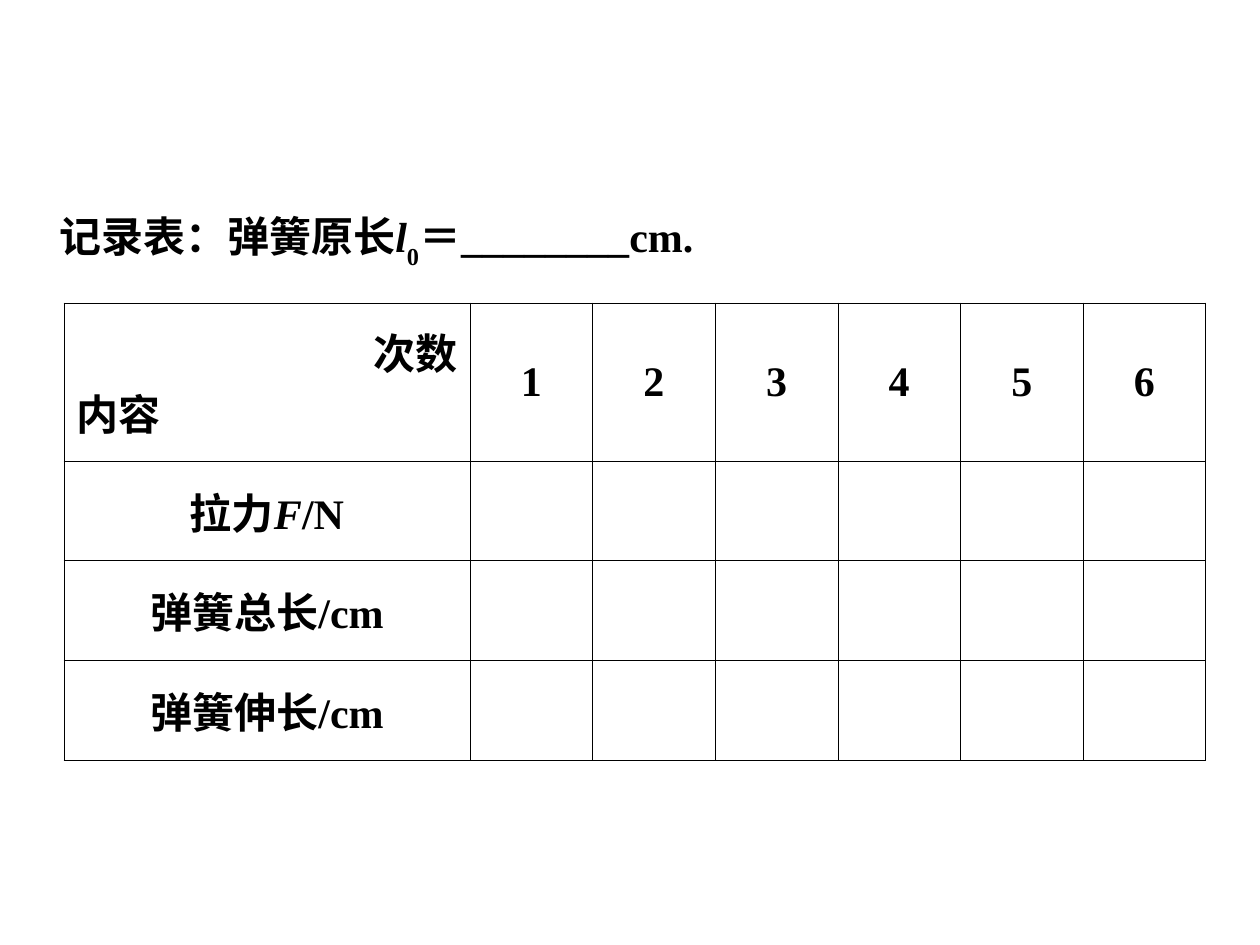
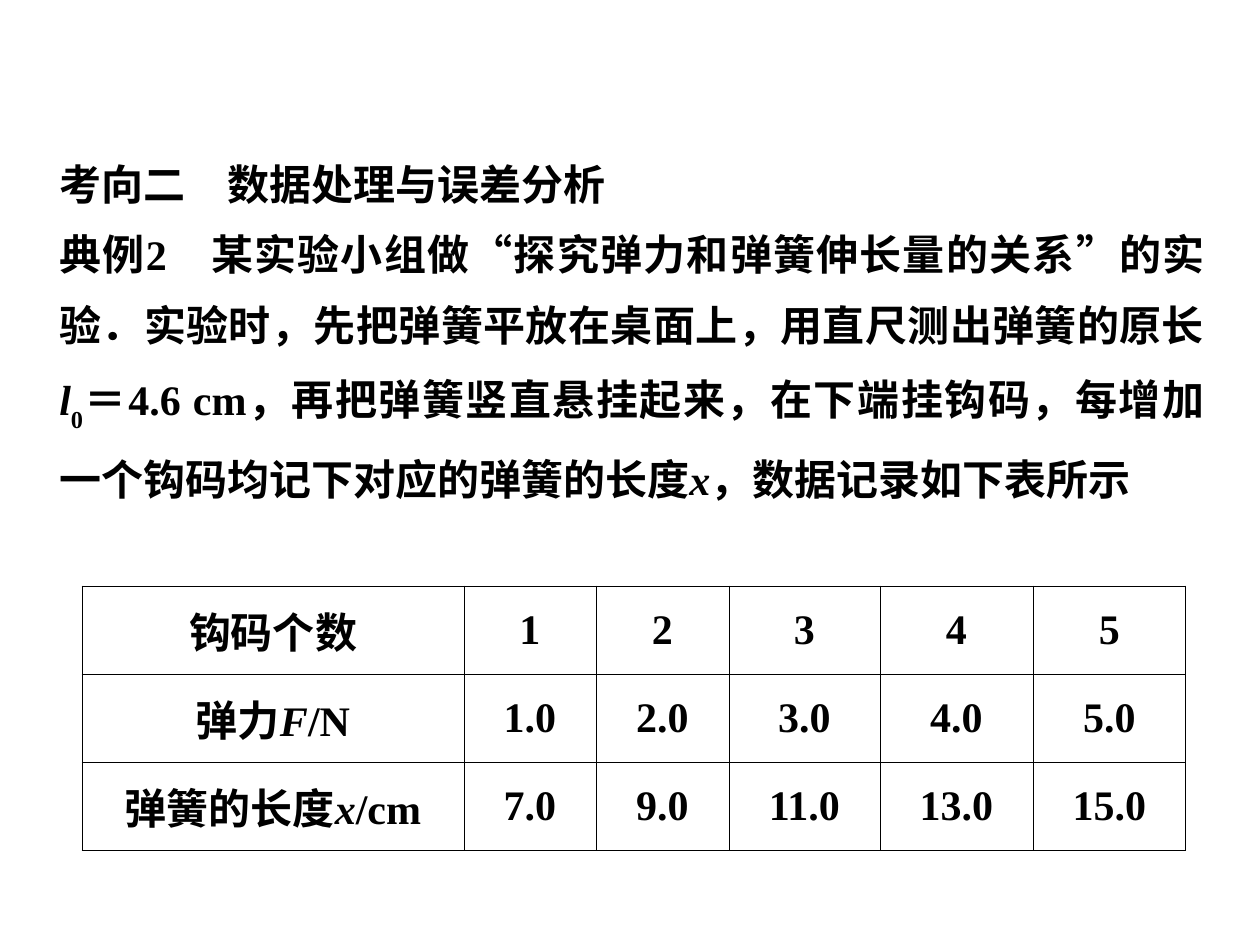
from lxml.etree import SubElement
from pptx import Presentation
from pptx.dml.color import RGBColor
from pptx.enum.text import MSO_ANCHOR as Anchor, PP_ALIGN as Align
from pptx.oxml import parse_xml
from pptx.oxml.ns import nsdecls, qn
from pptx.util import Emu, Pt

# Shared style
SCALE = 914400 / 126
LATIN, CHINESE = "Times New Roman", "Noto Sans CJK SC"
BLACK = "000000"
TEXT_SIZE = 24
BORDER_PT = 0.45
TEXT_LEFT, TEXT_WIDTH = 47, 1170

# Content: a line is a string or a list of strings and (text, style) pairs
LENGTH_L0 = [("l", "italic"), ("0", "sub")]

SLIDES = [
    {
        "text_top": 181, "text_height": 96,
        "text": [["记录表：弹簧原长", *LENGTH_L0, "＝________cm."]],
        "table_at": (64, 303),
        "columns": [406] + [(1142 - 406) / 6] * 6,
        "rows": [158] + [(457 - 158) / 3] * 3,
        "cells": [
            [("次数", "内容"), *"123456"],
            [["拉力", ("F", "italic"), "/N"]],
            ["弹簧总长/cm"],
            ["弹簧伸长/cm"],
        ],
    },
    {
        "text_top": 132, "text_height": 449,
        "text": [
            "考向二　数据处理与误差分析",
            ["典例2　某实验小组做", ("“", "quote"), "探究弹力和弹簧伸长量的关系",
             ("”", "quote"),
             "的实验．实验时，先把弹簧平放在桌面上，用直尺测出弹簧的原长",
             *LENGTH_L0,
             "＝4.6 cm，再把弹簧竖直悬挂起来，在下端挂钩码，"
             "每增加一个钩码均记下对应的弹簧的长度",
             ("x", "italic"), "，数据记录如下表所示"],
        ],
        "table_at": (82, 586),
        "columns": [382, 132, 133, 151, 153, 153],
        "rows": [88] * 3,
        "cells": [
            ["钩码个数", *"12345"],
            [["弹力", ("F", "italic"), "/N"], "1.0", "2.0", "3.0", "4.0", "5.0"],
            [["弹簧的长度", ("x", "italic"), "/cm"],
             "7.0", "9.0", "11.0", "13.0", "15.0"],
        ],
    },
]


def px(length):
    return Emu(round(length * SCALE))


def color(hex_value):
    return RGBColor.from_string(hex_value)


def write_line(para, line, align):
    """Write one line of plain and styled pieces into a paragraph."""
    para.alignment = align
    for piece in [line] if isinstance(line, str) else line:
        text, style = (piece, "plain") if isinstance(piece, str) else piece
        span = para.add_run()
        span.text = text
        font = span.font
        font.size, font.bold = Pt(TEXT_SIZE), True
        font.italic = style == "italic"
        font.color.rgb = color(BLACK)
        font.name = CHINESE if style == "quote" else LATIN
        properties = span._r.get_or_add_rPr()
        SubElement(properties, qn("a:ea")).set("typeface", CHINESE)
        if style == "sub":
            properties.set("baseline", "-30000")


def add_text(page, top, height, lines):
    box = page.shapes.add_textbox(px(TEXT_LEFT), px(top), px(TEXT_WIDTH), px(height))
    frame = box.text_frame
    frame.word_wrap = True
    for index, line in enumerate(lines):
        para = frame.add_paragraph() if index else frame.paragraphs[0]
        para.line_spacing = 1.4
        write_line(para, line, Align.JUSTIFY)


def outline_cell(cell):
    cell.fill.background()
    properties = cell._tc.get_or_add_tcPr()
    for index, side in enumerate("LRTB"):
        properties.insert(index, parse_xml(
            f'<a:ln{side} {nsdecls("a")} w="{Pt(BORDER_PT)}"><a:solidFill>'
            f'<a:srgbClr val="{BLACK}"/></a:solidFill></a:ln{side}>'))


def add_record_table(page, at, columns, rows, cells):
    left, top = at
    frame = page.shapes.add_table(len(rows), len(columns), px(left), px(top),
                                  px(sum(columns)), px(sum(rows)))
    table = frame.table
    table.first_row = table.horz_banding = False
    for column, width in zip(table.columns, columns):
        column.width = px(width)
    for row, height in zip(table.rows, rows):
        row.height = px(height)
    for cell in table.iter_cells():
        outline_cell(cell)
        cell.vertical_anchor = Anchor.MIDDLE
    for row_index, row_content in enumerate(cells):
        for column_index, content in enumerate(row_content):
            text_frame = table.cell(row_index, column_index).text_frame
            first = text_frame.paragraphs[0]
            if isinstance(content, tuple):  # corner heading: columns, then rows
                across, down = content
                write_line(first, across, Align.RIGHT)
                write_line(text_frame.add_paragraph(), down, Align.LEFT)
            else:
                write_line(first, content, Align.CENTER)


def main():
    deck = Presentation()
    deck.slide_width, deck.slide_height = px(1260), px(945)
    blank = deck.slide_layouts[6]
    for content in SLIDES:
        page = deck.slides.add_slide(blank)
        add_text(page, content["text_top"], content["text_height"], content["text"])
        add_record_table(page, content["table_at"], content["columns"],
                         content["rows"], content["cells"])
    deck.save("out.pptx")


if __name__ == "__main__":
    main()
